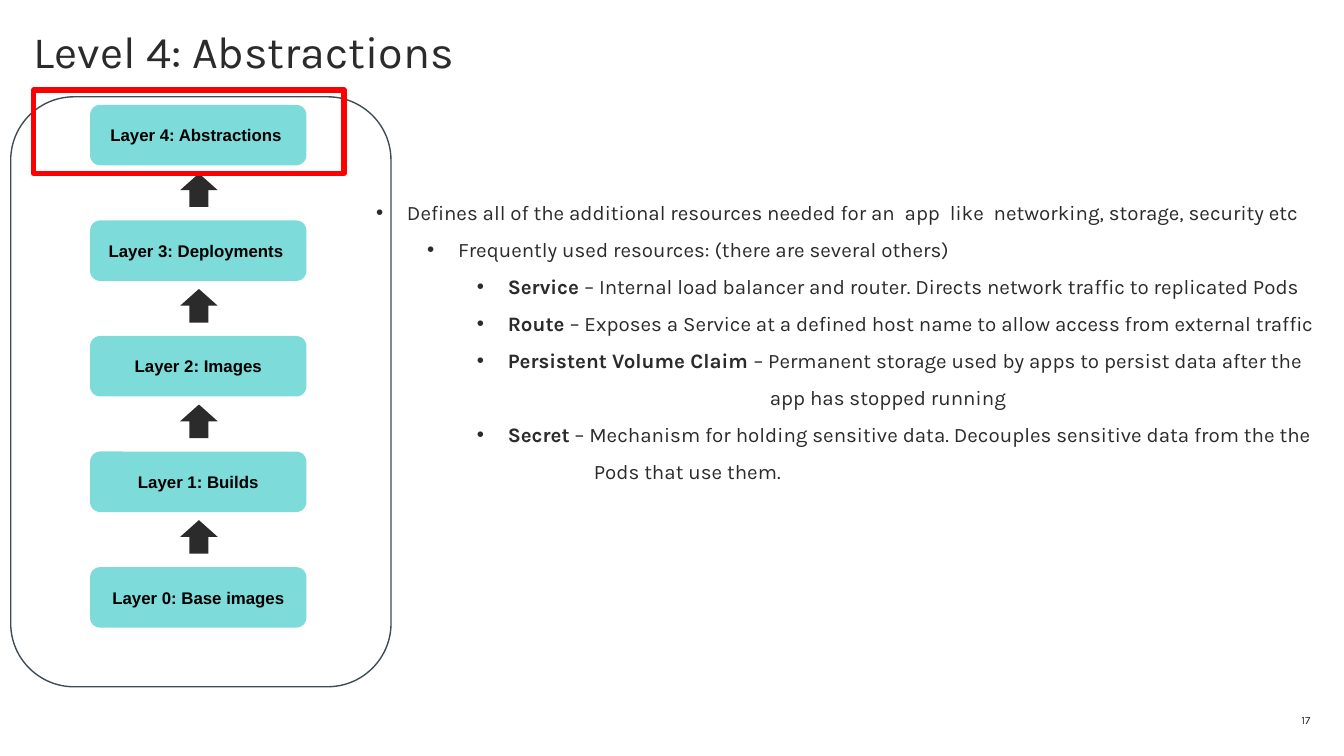
from dataclasses import dataclass

from lxml.etree import SubElement
from pptx import Presentation
from pptx.dml.color import RGBColor
from pptx.enum.shapes import MSO_SHAPE as Shape
from pptx.enum.text import MSO_ANCHOR as Anchor, MSO_AUTO_SIZE as AutoSize, PP_ALIGN as Align
from pptx.oxml.ns import qn
from pptx.util import Inches, Pt


@dataclass(frozen=True)
class Theme:
    ink: str = "2B2B2B"
    teal: str = "01BAB6"
    black: str = "000000"
    outline: str = "3D4C53"
    highlight: str = "FF0000"
    body_font: str = "Karla"
    label_font: str = "Arial"
    title_size: float = 24
    body_size: float = 11
    label_size: float = 9
    number_size: float = 6


class SlideBuilder:
    def __init__(self, presentation, theme):
        self.theme = theme
        self.slide = presentation.slides.add_slide(presentation.slide_layouts[5])

    def style_font(self, font, name, size, color, bold=False):
        font.name, font.size, font.bold = name, Pt(size), bold
        font.color.rgb = RGBColor.from_string(color)

    def clear_frame(self, text_frame, anchor):
        text_frame.margin_left = text_frame.margin_right = 0
        text_frame.margin_top = text_frame.margin_bottom = 0
        text_frame.vertical_anchor = anchor
        text_frame.auto_size = AutoSize.NONE
        text_frame.word_wrap = True

    def write_line(self, text_frame, text, align, name, size, color, bold=False):
        text_frame.text = text
        paragraph = text_frame.paragraphs[0]
        paragraph.alignment = align
        self.style_font(paragraph.runs[0].font, name, size, color, bold)
        return paragraph

    def title(self, text, left, top, width, height):
        title = self.slide.shapes.title
        title.left, title.top = Inches(left), Inches(top)
        title.width, title.height = Inches(width), Inches(height)
        self.clear_frame(title.text_frame, Anchor.TOP)
        paragraph = self.write_line(title.text_frame, text, Align.LEFT, self.theme.body_font,
                                    self.theme.title_size, self.theme.ink)
        paragraph.line_spacing = 0.9

    def text_box(self, left, top, width, height):
        box = self.slide.shapes.add_textbox(Inches(left), Inches(top), Inches(width), Inches(height))
        box.text_frame.word_wrap = True
        return box.text_frame

    def page_number(self, text, left, top, width, height):
        text_frame = self.text_box(left, top, width, height)
        self.clear_frame(text_frame, Anchor.MIDDLE)
        self.write_line(text_frame, text, Align.RIGHT, self.theme.body_font,
                        self.theme.number_size, self.theme.ink)

    def shape(self, kind, left, top, width, height, fill=None, alpha=None, line=None, weight=0.75):
        shape = self.slide.shapes.add_shape(kind, Inches(left), Inches(top), Inches(width), Inches(height))
        shape.shadow.inherit = False
        if fill:
            shape.fill.solid()
            shape.fill.fore_color.rgb = RGBColor.from_string(fill)
        else:
            shape.fill.background()
        if alpha:
            color = shape.fill._xPr.find(f"{qn('a:solidFill')}/{qn('a:srgbClr')}")
            SubElement(color, qn("a:alpha"), val=str(alpha * 1000))
        if line:
            shape.line.color.rgb = RGBColor.from_string(line)
            shape.line.width = Pt(weight)
        else:
            shape.line.fill.background()
        return shape

    def layer(self, text, left, top, width, height):
        shape = self.shape(Shape.ROUNDED_RECTANGLE, left, top, width, height, self.theme.teal, alpha=51)
        self.clear_frame(shape.text_frame, Anchor.MIDDLE)
        self.write_line(shape.text_frame, text, Align.CENTER, self.theme.label_font,
                        self.theme.label_size, self.theme.black, bold=True)

    def bullet_list(self, items, left, top, width, height):
        text_frame = self.text_box(left, top, width, height)
        for index, (level, margin, bulleted, term, text) in enumerate(items):
            paragraph = text_frame.paragraphs[0] if index == 0 else text_frame.add_paragraph()
            paragraph.level = level
            properties = paragraph._p.get_or_add_pPr()
            properties.set("marL", str(Inches(margin)))
            properties.set("indent", str(Inches(-0.23 if bulleted else 0)))
            if bulleted:
                SubElement(properties, qn("a:buFont"), typeface="Arial")
                SubElement(properties, qn("a:buChar"), char="•")
            else:
                SubElement(properties, qn("a:buNone"))
            paragraph.line_spacing = 1.5
            for content, bold in ((term, True), (text, False)):
                if content:
                    run = paragraph.add_run()
                    run.text = content
                    self.style_font(run.font, self.theme.body_font, self.theme.body_size,
                                    self.theme.ink, bold)


LAYERS = ["Layer 4: Abstractions ", "Layer 3: Deployments ", "Layer 2: Images",
          "Layer 1: Builds", "Layer 0: Base images"]
LAYER_PITCH = 0.86

RESOURCES = [
    (0, 0.23, True, "", "Defines all of the additional resources needed for an  app  like  networking, "
                        "storage, security etc"),
    (1, 0.61, True, "", "Frequently used resources: (there are several others)"),
    (2, 0.98, True, "Service ", "– Internal load balancer and router. Directs network traffic to replicated Pods"),
    (2, 0.98, True, "Route ", "– Exposes a Service at a defined host name to allow access from external traffic"),
    (2, 0.98, True, "Persistent Volume Claim ", "– Permanent storage used by apps to persist data after the"),
    (2, 2.93, False, "", "app has stopped running"),
    (2, 0.98, True, "Secret", " – Mechanism for holding sensitive data. Decouples sensitive data from the the"),
    (2, 1.62, False, "", "Pods that use them."),
]


def main():
    presentation = Presentation()
    presentation.slide_width = Inches(10)
    presentation.slide_height = presentation.slide_width * 9 // 16
    theme = Theme()
    builder = SlideBuilder(presentation, theme)
    builder.title("Level 4: Abstractions", 0.25, 0.22, 4.5, 0.42)
    builder.page_number("17", 7.5, 5.28, 2.25, 0.15)
    builder.bullet_list(RESOURCES, 2.7, 1.35, 9.16, 2.29)
    for index, name in enumerate(LAYERS):
        builder.layer(name, 0.67, 0.78 + index * LAYER_PITCH, 1.61, 0.45)
    for index in range(len(LAYERS) - 1):
        builder.shape(Shape.UP_ARROW, 1.34, 1.29 + index * LAYER_PITCH, 0.28, 0.25, theme.ink)
    builder.shape(Shape.ROUNDED_RECTANGLE, 0.08, 0.72, 2.83, 4.39, line=theme.outline)
    builder.shape(Shape.RECTANGLE, 0.25, 0.67, 2.31, 0.62, line=theme.highlight, weight=3)
    presentation.save("out.pptx")


if __name__ == "__main__":
    main()
